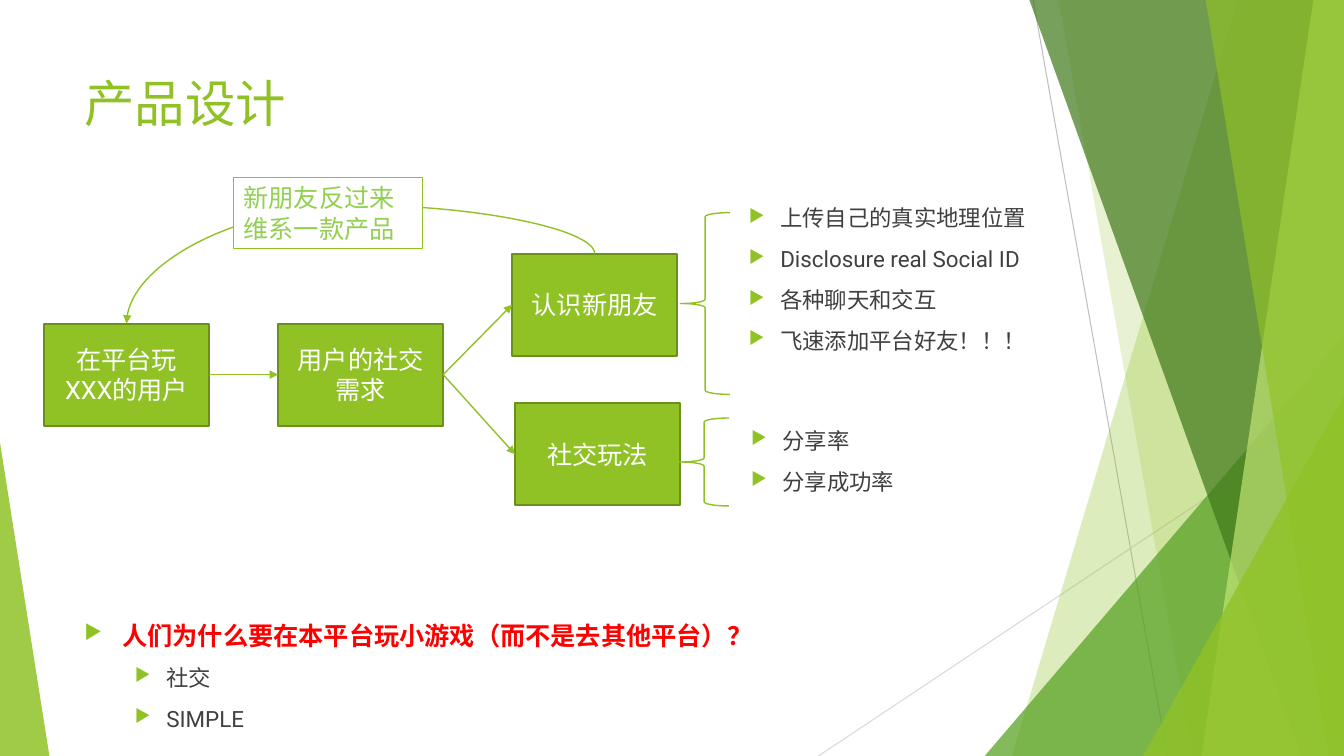
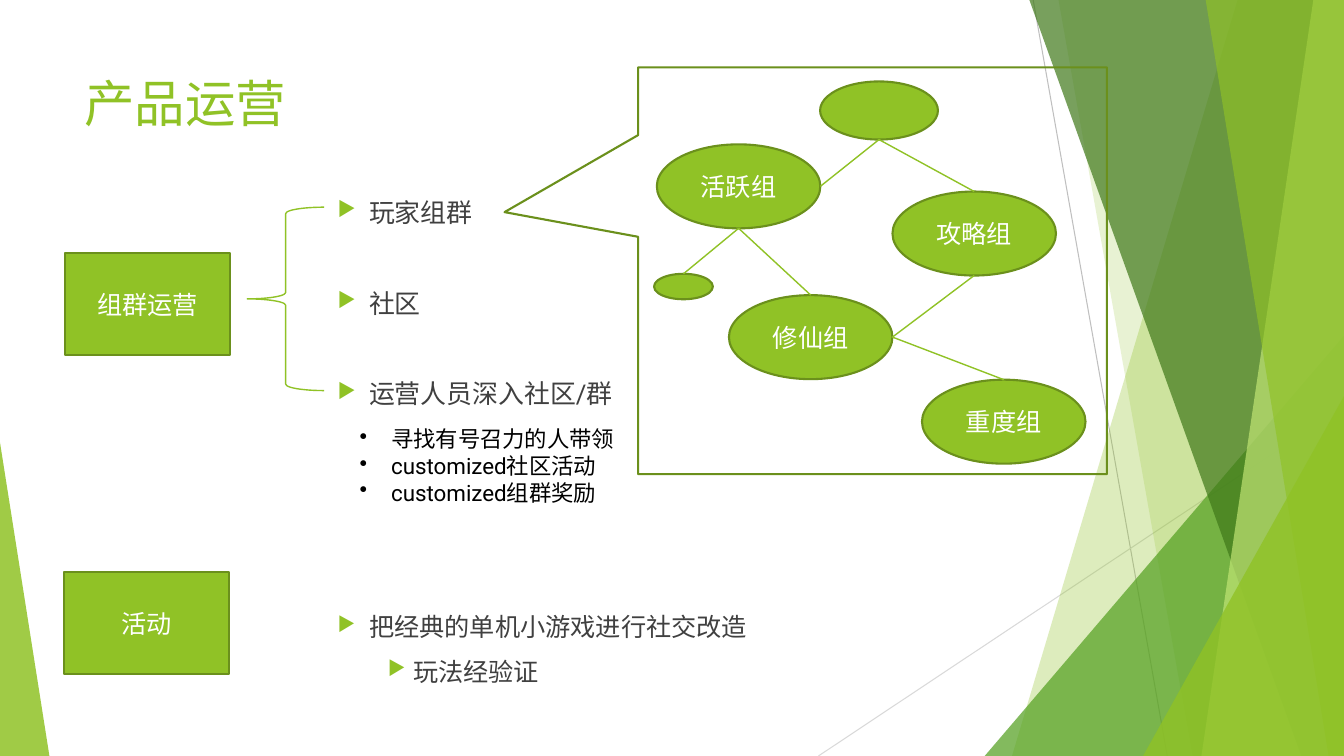
import pptx
import pptx.dml.color
import pptx.enum.shapes
import pptx.enum.text
import pptx.oxml.ns
import pptx.util
from lxml import etree

Pt = pptx.util.Pt
qn = pptx.oxml.ns.qn
KIND = pptx.enum.shapes.MSO_SHAPE
ANCHOR = pptx.enum.text.MSO_ANCHOR
ALIGN = pptx.enum.text.PP_ALIGN

WIDTH, HEIGHT = 960, 540
FONT = "Roboto"
COLOURS = {
    "green": "90C226", "edge": "6B901C", "leaf": "54A021", "forest": "3F7819",
    "lime": "C0E474", "label": "92D050", "white": "FFFFFF", "black": "000000",
    "body": "404040", "red": "FF0000", "grey": "BFBFBF", "pale": "D9D9D9",
}
BOX_SIZE = (118, 73)
OVAL_SIZE = (116.8, 60)

# Bullet levels: left margin, hanging indent
LEVELS = [(27, 27), (58.5, 22.5), (90, 18)]


def colour(name):
    return pptx.dml.color.RGBColor.from_string(COLOURS[name])


def add_xml(parent, tag, **attributes):
    child = etree.SubElement(parent, qn(tag))
    for key, value in attributes.items():
        child.set(key, str(value))
    return child


# Shapes
def style(shape, fill=None, line=None, weight=1.5, opacity=100):
    shape.shadow.inherit = False
    if fill:
        shape.fill.solid()
        shape.fill.fore_color.rgb = colour(fill)
        if opacity < 100:
            tint = shape._element.spPr.find(qn("a:solidFill")).find(qn("a:srgbClr"))
            add_xml(tint, "a:alpha", val=opacity * 1000)
    else:
        shape.fill.background()
    if line:
        shape.line.color.rgb = colour(line)
        shape.line.width = Pt(weight)
    else:
        shape.line.fill.background()
    return shape


def add_shape(page, kind, left, top, width, height, adjust=(), **look):
    shape = page.shapes.add_shape(kind, Pt(left), Pt(top), Pt(width), Pt(height))
    for index, value in enumerate(adjust):
        shape.adjustments[index] = value
    return style(shape, **look)


def add_band(page, top_left, bottom_left, fill, opacity):
    """A slanted strip that reaches the right edge of the page."""
    outline = page.shapes.build_freeform(Pt(top_left), Pt(-0.6), scale=1.0)
    corners = [(WIDTH, -0.6), (WIDTH, HEIGHT), (bottom_left, HEIGHT)]
    outline.add_line_segments([(Pt(x), Pt(y)) for x, y in corners], close=True)
    style(outline.convert_to_shape(), fill=fill, opacity=opacity)


def add_wedge(page, left, top, width, apex, fill, opacity):
    """A right triangle that stands on the bottom of the page."""
    add_shape(page, KIND.ISOSCELES_TRIANGLE, left, top, width, HEIGHT - top,
              adjust=[apex], fill=fill, opacity=opacity)


def add_brace(page, left, top, width, height):
    add_shape(page, KIND.LEFT_BRACE, left, top, width, height, line="green", weight=1)


# Text
def fill_text(shape, lines, size=18, color="body", bold=False, align=ALIGN.LEFT,
              anchor=ANCHOR.TOP, before=0):
    frame = shape.text_frame
    frame.word_wrap = True
    frame.vertical_anchor = anchor
    for index, line in enumerate(lines):
        para = frame.paragraphs[0] if index == 0 else frame.add_paragraph()
        para.alignment = align
        para.space_before = Pt(before)
        span = para.add_run()
        span.text = line
        format_span(span, size, color, bold)
    return frame.paragraphs


def format_span(span, size, color, bold=False):
    span.font.name = FONT
    span.font.size = Pt(size)
    span.font.bold = bold
    span.font.color.rgb = colour(color)


def add_text(page, left, top, width, height, lines, **look):
    box = page.shapes.add_textbox(Pt(left), Pt(top), Pt(width), Pt(height))
    return fill_text(box, lines, **look)


def set_bullet(para, margin, hanging, mark="▶", color="green", percent=80):
    properties = para._p.get_or_add_pPr()
    properties.set("marL", str(Pt(margin)))
    properties.set("indent", str(-Pt(hanging)))
    add_xml(add_xml(properties, "a:buClr"), "a:srgbClr", val=COLOURS[color])
    add_xml(properties, "a:buSzPct", val=percent * 1000)
    add_xml(properties, "a:buChar", char=mark)


def add_list(page, left, top, width, height, lines, levels=None, before=10, **look):
    paras = add_text(page, left, top, width, height, lines, before=before, **look)
    for para, level in zip(paras, levels or [1] * len(lines)):
        para.level = level
        set_bullet(para, *LEVELS[level])
    return paras


def add_node(page, left, top, text="", kind=KIND.RECTANGLE, size=BOX_SIZE):
    node = add_shape(page, kind, left, top, *size, fill="green", line="edge")
    if text:
        fill_text(node, [text], color="white", align=ALIGN.CENTER, anchor=ANCHOR.MIDDLE)
    return node


# Lines
def side(shape, name):
    across, down = {"top": (0.5, 0), "bottom": (0.5, 1),
                    "left": (0, 0.5), "right": (1, 0.5)}[name]
    return (shape.left.pt + across * shape.width.pt,
            shape.top.pt + down * shape.height.pt)


def add_line(page, start, end, color="green", weight=1, arrow=False, curved=False):
    kinds = pptx.enum.shapes.MSO_CONNECTOR
    line = page.shapes.add_connector(kinds.CURVE if curved else kinds.STRAIGHT,
                                     Pt(start[0]), Pt(start[1]), Pt(end[0]), Pt(end[1]))
    line.line.color.rgb = colour(color)
    line.line.width = Pt(weight)
    if arrow:
        add_xml(line.line._get_or_add_ln(), "a:tailEnd", type="triangle")
    add_xml(line._element.spPr, "a:effectLst")
    return line


def add_arch(page, start, end, bend):
    """A curved arrow that leaves upwards from start and comes down on end."""
    middle_x, middle_y = (start[0] + end[0]) / 2, (start[1] + end[1]) / 2
    half_run, half_drop = (start[0] - end[0]) / 2, (end[1] - start[1]) / 2
    arch = add_line(page, (middle_x + half_drop, middle_y + half_run),
                    (middle_x - half_drop, middle_y - half_run), arrow=True, curved=True)
    properties = arch._element.spPr
    properties.find(qn("a:xfrm")).set("rot", str(270 * 60000))
    guides = properties.find(qn("a:prstGeom")).find(qn("a:avLst"))
    add_xml(guides, "a:gd", name="adj1", fmla=f"val {bend}")


# Shared backdrop and title
def add_page(deck, title):
    page = deck.slides.add_slide(deck.slide_layouts[6])
    add_line(page, (738, 0), (833.8, HEIGHT), color="grey", weight=0.75)
    add_line(page, (WIDTH, 290.2), (584.6, HEIGHT), color="pale", weight=0.75)
    add_band(page, 884.2, 722.9, "green", 30)
    add_band(page, 756, 851.8, "green", 20)
    add_wedge(page, 703.4, 239.8, 256.6, 1, "leaf", 72)
    add_band(page, 735.1, 929.5, "forest", 70)
    add_band(page, 938.2, 858.2, "lime", 70)
    add_band(page, 861.1, 949, "green", 65)
    add_wedge(page, 816.5, 283, 143.5, 1, "green", 80)
    add_wedge(page, 0, 316.1, 35.3, 0, "green", 85)
    add_text(page, 53.3, 48.2, 676.8, 103.7, [title], size=36, color="green")
    return page


def build_design(deck):
    page = add_page(deck, "产品设计")

    # Flow from players to social play
    players = add_node(page, 31.4, 231.1, "在平台玩XXX的用户")
    needs = add_node(page, 198.6, 231.1, "用户的社交需求")
    friends = add_node(page, 365.8, 181.2, "认识新朋友")
    play = add_node(page, 367.9, 288, "社交玩法")
    for source, target in [(players, needs), (needs, friends), (needs, play)]:
        add_line(page, side(source, "right"), side(target, "left"), arrow=True)

    # Return loop and its label
    add_arch(page, side(friends, "top"), side(players, "top"), -69200)
    label = add_shape(page, KIND.RECTANGLE, 166.8, 126.9, 135, 50.7,
                      fill="white", line="green", weight=0.75)
    fill_text(label, ["新朋友反过来维系一款产品"], color="label")

    # Details of each branch
    add_brace(page, 486, 151.9, 35.3, 129.8)
    add_list(page, 491.8, 142.6, 250.6, 139,
             ["上传自己的真实地理位置", "Disclosure real Social ID",
              "各种聊天和交互", "飞速添加平台好友！！！"], size=16)
    add_brace(page, 485.3, 298.6, 35.3, 62.8)
    add_list(page, 493.4, 301.5, 218.9, 61.2, ["分享率", "分享成功率"], size=16)

    # Closing question
    paras = add_list(page, 53.3, 439.2, 676.8, 97.9,
                     ["人们为什么要在本平台玩小游戏（而不是去其他平台）？", "社交", "SIMPLE"],
                     levels=[0, 1, 1], size=16)
    format_span(paras[0].runs[0], 18, "red", bold=True)


def build_operations(deck):
    page = add_page(deck, "产品运营")

    # Group operations
    add_node(page, 46.4, 180.7, "组群运营")
    add_brace(page, 176.6, 148, 55, 131)
    add_list(page, 198, 136.8, 262.8, 164.2,
             ["玩家组群", "社区", "运营人员深入社区/群"], size=18.5, before=42.6)

    # Network of player groups
    def add_group(left, top, text="", size=OVAL_SIZE):
        return add_node(page, left, top, text, KIND.OVAL, size)

    active = add_group(469.2, 103.1, "活跃组")
    guides = add_group(637.5, 136.8, "攻略组")
    fantasy = add_group(520.7, 210.8, "修仙组")
    heavy = add_group(658.6, 271.2, "重度组")
    upper = add_group(585.8, 58.2, size=(84.2, 41.5))
    small = add_group(467.2, 195.6, size=(42, 18.2))
    links = [(active, "bottom", small, "top"), (active, "right", upper, "bottom"),
             (upper, "bottom", guides, "top"), (fantasy, "right", guides, "bottom"),
             (heavy, "top", fantasy, "right"), (active, "bottom", fantasy, "top")]
    for source, leaving, target, arriving in links:
        add_line(page, side(source, leaving), side(target, arriving))
    add_shape(page, KIND.RECTANGULAR_CALLOUT, 455.8, 48.1, 334.8, 290.6,
              adjust=[-0.785, -0.144], line="edge")

    # Community work
    paras = add_text(page, 249.8, 300.4, 232.6, 65.5,
                     ["寻找有号召力的人带领", "customized社区活动", "customized组群奖励"],
                     size=16, color="black")
    for para in paras:
        set_bullet(para, 22.5, 22.5, mark="•", color="black", percent=100)

    # Activities
    add_node(page, 45.5, 408.6, "活动")
    add_list(page, 198, 433.4, 404.6, 86.4,
             ["把经典的单机小游戏进行社交改造", "玩法经验证"], levels=[1, 2])


def main():
    deck = pptx.Presentation()
    deck.slide_width, deck.slide_height = Pt(WIDTH), Pt(HEIGHT)
    build_design(deck)
    build_operations(deck)
    deck.save("out.pptx")


main()
